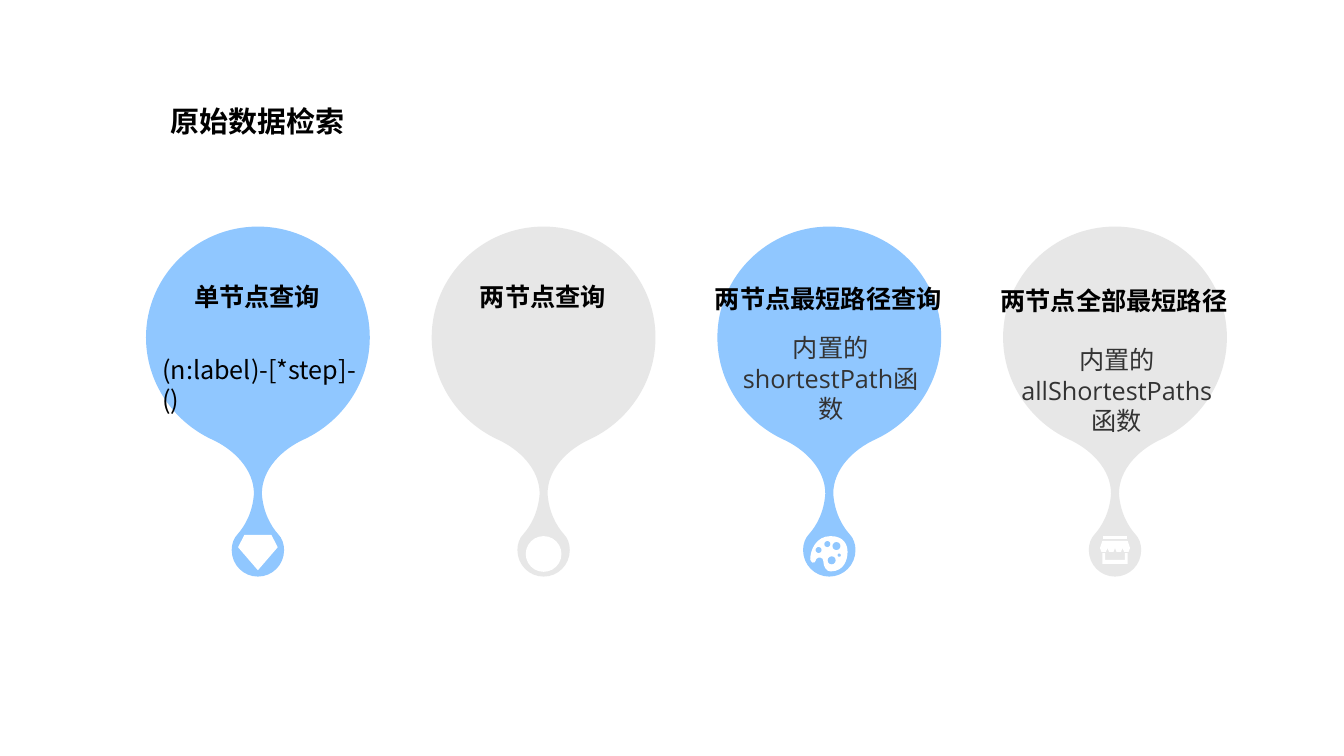
from dataclasses import dataclass, field

import lxml.etree
import pptx
import pptx.dml.color
import pptx.enum.shapes
import pptx.enum.text
import pptx.oxml.ns
import pptx.shapes.autoshape
import pptx.slide
import pptx.util

Cm = pptx.util.Cm
Color = pptx.dml.color.RGBColor
Align = pptx.enum.text.PP_ALIGN
Anchor = pptx.enum.text.MSO_ANCHOR
Shape = pptx.shapes.autoshape.Shape
Slide = pptx.slide.Slide
qn = pptx.oxml.ns.qn
Loop = list[tuple[float, float]]

BLUE = Color(0x90, 0xC7, 0xFF)
GREY = Color(0xE7, 0xE7, 0xE7)
WHITE = Color(0xFF, 0xFF, 0xFF)
BLACK = Color(0, 0, 0)
DARK = Color(0x33, 0x33, 0x33)
HAN = "Noto Sans CJK SC"
OPEN = "Open Sans"
LEFT, STEP, TOP = 6.5, 7.2, 5.71


@dataclass
class Label:
    text: str
    left: float
    top: float
    width: float
    height: float
    size: float = 18
    font: str = HAN
    color: Color = BLACK
    bold: bool = False
    wrap: bool = True
    align: Align = Align.LEFT
    anchor: Anchor = Anchor.TOP
    space: float = 1.0


@dataclass
class Dot:
    x: float
    y: float
    size: float
    fill: Color = BLUE


@dataclass
class Icon:
    loops: list[Loop] = field(default_factory=list)
    dots: list[Dot] = field(default_factory=list)
    curved: bool = False


@dataclass
class Drop:
    head: str
    top: float
    width: float
    fill: Color
    icon: Icon


def mirror(half: Loop) -> Loop:
    back = half[:-1] if half[-1][0] == 0 else half
    return half + [(-x, y) for x, y in reversed(back)]


BODY = mirror([
    (0, 0),
    (1.55, 0), (2.82, 1.25), (2.82, 2.79),
    (2.82, 3.93), (2.13, 4.9), (1.19, 5.35),
    (0.6, 5.61), (0.1, 6.12), (0.1, 6.73),
    (0.13, 7.2), (0.33, 7.55), (0.51, 7.75),
    (0.61, 7.85), (0.66, 8.0), (0.66, 8.15),
    (0.66, 8.53), (0.36, 8.82), (0, 8.82),
])
GEM = Icon([mirror([(0.34, 7.77), (0.5, 8.08), (0, 8.66)])])
ROUND = Icon(dots=[Dot(0, 8.25, 0.9, WHITE)])
PAINT = Icon(
    [[
        (0.03, 7.8),
        (-0.33, 7.8), (-0.48, 8.15), (-0.48, 8.38),
        (-0.48, 8.43), (-0.38, 8.56), (-0.33, 8.38),
        (-0.28, 8.31), (-0.15, 8.33), (-0.15, 8.43),
        (-0.15, 8.56), (-0.08, 8.69), (0.03, 8.69),
        (0.38, 8.69), (0.46, 8.38), (0.46, 8.2),
        (0.46, 8.03), (0.38, 7.8), (0.03, 7.8),
    ]],
    [
        Dot(-0.27, 8.15, 0.15),
        Dot(-0.05, 8.0, 0.15),
        Dot(0.06, 8.41, 0.2),
        Dot(0.25, 8.28, 0.08),
        Dot(0.18, 8.05, 0.2),
    ],
    curved=True,
)
STALL = Icon([
    mirror([(0.32, 7.92), (0.38, 8.1), (0.34, 8.2), (0.23, 8.2),
            (0.19, 8.1), (0.15, 8.2), (0.04, 8.2), (0, 8.1)]),
    mirror([(0.3, 7.8), (0.3, 7.88)]),
    mirror([(0.25, 8.4), (0.25, 8.23), (0.32, 8.23), (0.32, 8.5)]),
])

DROPS = [
    Drop("单节点查询", 6.96, 3.71, BLUE, GEM),
    Drop("两节点查询", 6.96, 3.71, GREY, ROUND),
    Drop("两节点最短路径查询", 7.01, 6.27, BLUE, PAINT),
    Drop("两节点全部最短路径", 7.06, 6.27, GREY, STALL),
]
LABELS = [
    Label("原始数据检索", 4.06, 2.41, 8.38, 1.17, size=20.7, bold=True,
          anchor=Anchor.MIDDLE, space=1.1),
    Label("内置的shortestPath函数", 18.47, 8.26, 4.93, 2.57,
          font=OPEN, color=DARK, align=Align.CENTER),
    Label("内置的allShortestPaths函数", 25.35, 8.56, 5.59, 2.57,
          font=OPEN, color=DARK, align=Align.CENTER),
    Label("(n:label)-[*step]-()", 3.84, 8.81, 5.51, 1.02),
]


def paint(shape: Shape, fill: Color) -> None:
    shape.shadow.inherit = False
    shape.fill.solid()
    shape.fill.fore_color.rgb = fill
    shape.line.fill.background()


def bend(shape: Shape) -> None:
    lines = list(shape._element.iter(qn("a:lnTo")))
    for k in range(0, len(lines), 3):
        arc = lxml.etree.Element(qn("a:cubicBezTo"))
        lines[k].addprevious(arc)
        for line in lines[k:k + 3]:
            arc.append(line[0])
            line.getparent().remove(line)


def trace(slide: Slide, loop: Loop, mid: float, fill: Color, curved: bool) -> None:
    first, *rest = [(Cm(mid + x), Cm(TOP + y)) for x, y in loop]
    pen = slide.shapes.build_freeform(*first)
    pen.add_line_segments(rest)
    shape = pen.convert_to_shape()
    if curved:
        bend(shape)
    paint(shape, fill)


def stamp(slide: Slide, icon: Icon, mid: float) -> None:
    for loop in icon.loops:
        trace(slide, loop, mid, WHITE, icon.curved)
    for dot in icon.dots:
        half = dot.size / 2
        oval = slide.shapes.add_shape(
            pptx.enum.shapes.MSO_SHAPE.OVAL, Cm(mid + dot.x - half),
            Cm(TOP + dot.y - half), Cm(dot.size), Cm(dot.size))
        paint(oval, dot.fill)


def write(slide: Slide, label: Label) -> None:
    box = slide.shapes.add_textbox(
        Cm(label.left), Cm(label.top), Cm(label.width), Cm(label.height))
    frame = box.text_frame
    frame.text = label.text
    frame.word_wrap = label.wrap
    frame.vertical_anchor = label.anchor
    line = frame.paragraphs[0]
    line.alignment = label.align
    line.line_spacing = label.space
    font = line.runs[0].font
    font.name = label.font
    font.size = pptx.util.Pt(label.size)
    font.bold = label.bold
    font.color.rgb = label.color
    east = lxml.etree.SubElement(line.runs[0]._r.get_or_add_rPr(), qn("a:ea"))
    east.set("typeface", HAN)


def main() -> None:
    deck = pptx.Presentation()
    deck.slide_width = Cm(33.87)
    deck.slide_height = Cm(19.05)
    slide = deck.slides.add_slide(deck.slide_layouts[6])
    for k, drop in enumerate(DROPS):
        mid = LEFT + k * STEP
        trace(slide, BODY, mid, drop.fill, True)
        stamp(slide, drop.icon, mid)
        write(slide, Label(drop.head, mid - drop.width / 2, drop.top,
                           drop.width, 1.02, bold=True, wrap=False))
    for label in LABELS:
        write(slide, label)
    deck.save("out.pptx")


if __name__ == "__main__":
    main()
